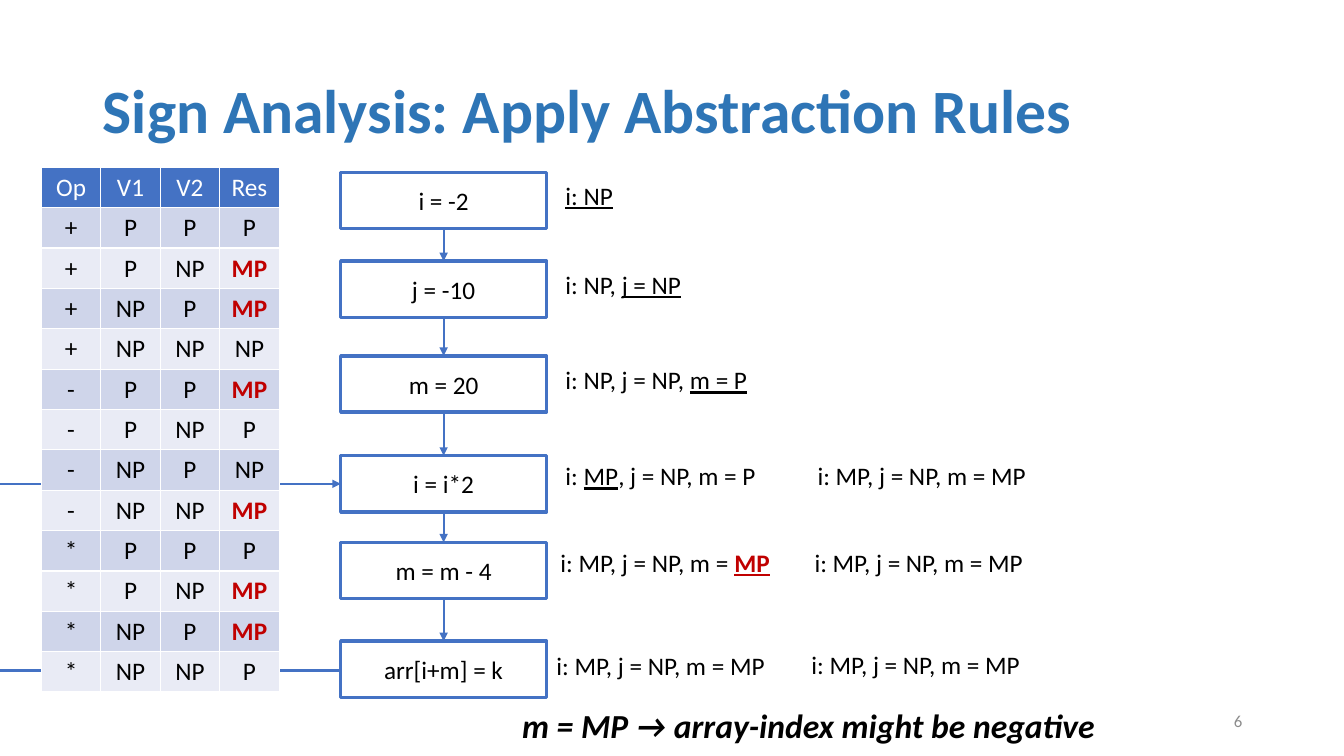
from itertools import pairwise

from lxml.etree import SubElement
from pptx import Presentation
from pptx.dml.color import RGBColor
from pptx.enum.shapes import MSO_CONNECTOR, MSO_SHAPE
from pptx.enum.text import MSO_ANCHOR, MSO_AUTO_SIZE, PP_ALIGN
from pptx.oxml.ns import qn
from pptx.util import Inches, Pt

COLORS = {
    "title": "2E75B6", "accent": "4472C4", "text": "000000", "alert": "C00000",
    "header_text": "FFFFFF", "page": "8C8C8C", "odd": "CFD5EA", "even": "E9EBF5",
}
UNDERLINED = {"underline": True}
ALERT = {"bold": True, "color": "alert"}

RULES = """Op V1 V2 Res
+ P P P
+ P NP MP
+ NP P MP
+ NP NP NP
- P P MP
- P NP P
- NP P NP
- NP NP MP
* P P P
* P NP MP
* NP P MP
* NP NP P"""

STATEMENTS = [
    ("i = -2", 1.71), ("j = -10", 2.59), ("m = 20", 3.53),
    ("i = i*2", 4.52), ("m = m - 4", 5.38), ("arr[i+m] = k", 6.36),
]
ALL_MAYBE = "i: MP, j = NP, m = MP"
STATES = [
    ((5.51, 1.74, 0.86), [("i: NP", UNDERLINED)]),
    ((5.51, 2.62, 1.74), [("i: NP, ", {}), ("j = NP", UNDERLINED)]),
    ((5.51, 3.57, 2.08), [("i: NP, j = NP, ", {}), ("m = P", UNDERLINED)]),
    ((5.51, 4.52, 2.41), [("i: ", {}), ("MP", UNDERLINED), (", j = NP, m = P", {})]),
    ((5.46, 5.38, 2.41), [("i: MP, j = NP, m = ", {}), ("MP", ALERT | UNDERLINED)]),
    ((5.42, 6.4, 2.41), [(ALL_MAYBE, {})]),
    ((8.01, 4.52, 2.41), [(ALL_MAYBE, {})]),
    ((7.98, 5.38, 2.41), [(ALL_MAYBE, {})]),
    ((7.95, 6.39, 2.41), [(ALL_MAYBE, {})]),
]


class SlideBuilder:
    """Holds the text style and the current slide, and adds elements to it."""

    style = {"name": "Calibri", "size": 18, "bold": False, "color": "text"}

    def __init__(self, deck):
        self.slide = deck.slides.add_slide(deck.slide_layouts[5])

    def set_runs(self, frame, runs, align=PP_ALIGN.LEFT, anchor=MSO_ANCHOR.TOP):
        frame.word_wrap = True
        frame.vertical_anchor = anchor
        paragraph = frame.paragraphs[0]
        paragraph.alignment = align
        for words, changes in runs:
            run = paragraph.add_run()
            run.text = words
            look = self.style | changes
            run.font.color.rgb = RGBColor.from_string(COLORS[look.pop("color")])
            look["size"] = Pt(look["size"])
            for key, value in look.items():
                setattr(run.font, key, value)
        return paragraph

    def title(self, words, left, top, width, height):
        heading = self.slide.shapes.title
        place = {"left": left, "top": top, "width": width, "height": height}
        for key, value in place.items():
            setattr(heading, key, Inches(value))
        heading.text_frame.auto_size = MSO_AUTO_SIZE.NONE
        look = {"size": 44, "bold": True, "color": "title"}
        paragraph = self.set_runs(heading.text_frame, [(words, look)], anchor=MSO_ANCHOR.MIDDLE)
        paragraph.line_spacing = 0.9

    def text(self, runs, left, top, width, height=0.4, **layout):
        box = self.slide.shapes.add_textbox(*map(Inches, (left, top, width, height)))
        self.set_runs(box.text_frame, runs, **layout)

    def statement(self, words, top):
        block = self.slide.shapes.add_shape(
            MSO_SHAPE.RECTANGLE, *map(Inches, (3.38, top, 2.04, 0.56)))
        block.shadow.inherit = False
        block.fill.background()
        block.line.color.rgb = RGBColor.from_string(COLORS["accent"])
        block.line.width = Pt(2.5)
        self.set_runs(block.text_frame, [(words, {})], PP_ALIGN.CENTER, MSO_ANCHOR.MIDDLE)
        return block

    def line(self, start, end, weight, arrow=True):
        link = self.slide.shapes.add_connector(
            MSO_CONNECTOR.STRAIGHT, *map(Inches, (*start, *end)))
        link.line.color.rgb = RGBColor.from_string(COLORS["accent"])
        link.line.width = Pt(weight)
        properties = link.element.spPr
        if arrow:
            SubElement(properties.find(qn("a:ln")), qn("a:tailEnd"), type="triangle")
        SubElement(properties, qn("a:effectLst"))
        return link

    def flow(self, source, target):
        link = self.line((4.4, 2), (4.4, 3), 1.5)
        link.begin_connect(source, 2)
        link.end_connect(target, 0)

    def table(self, rows, left, top, column_width, row_height):
        size = (column_width * len(rows[0]), row_height * len(rows))
        grid = self.slide.shapes.add_table(
            len(rows), len(rows[0]), *map(Inches, (left, top, *size))).table
        for r, values in enumerate(rows):
            fill = "accent" if r == 0 else "odd" if r % 2 else "even"
            for c, value in enumerate(values):
                cell = grid.cell(r, c)
                cell.fill.solid()
                cell.fill.fore_color.rgb = RGBColor.from_string(COLORS[fill])
                look = ALERT if value == "MP" else {} if r else {"color": "header_text"}
                self.set_runs(cell.text_frame, [(value, look)], PP_ALIGN.CENTER)


def main():
    deck = Presentation()
    deck.slide_width, deck.slide_height = Inches(13.33), Inches(7.5)
    builder = SlideBuilder(deck)
    builder.title("Sign Analysis: Apply Abstraction Rules", 0.92, 0.4, 11.5, 1.45)
    builder.text([("6", {"size": 12, "color": "page"})], 9.42, 6.95, 3,
                 align=PP_ALIGN.RIGHT, anchor=MSO_ANCHOR.MIDDLE)

    blocks = [builder.statement(*statement) for statement in STATEMENTS]
    for source, target in pairwise(blocks):
        builder.flow(source, target)
    builder.line((3.38, 6.65), (0, 6.65), 1.75, arrow=False)
    builder.line((0, 4.8), (3.38, 4.8), 1.75)

    builder.table([rule.split() for rule in RULES.splitlines()], 0.41, 1.66, 0.59, 0.4)
    for place, runs in STATES:
        builder.text(runs, *place)
    conclusion = {"size": 24, "bold": True, "italic": True}
    builder.text([("m = MP → array-index might be negative", conclusion)],
                 5.08, 6.94, 6.68, 0.5)
    deck.save("out.pptx")


if __name__ == "__main__":
    main()
